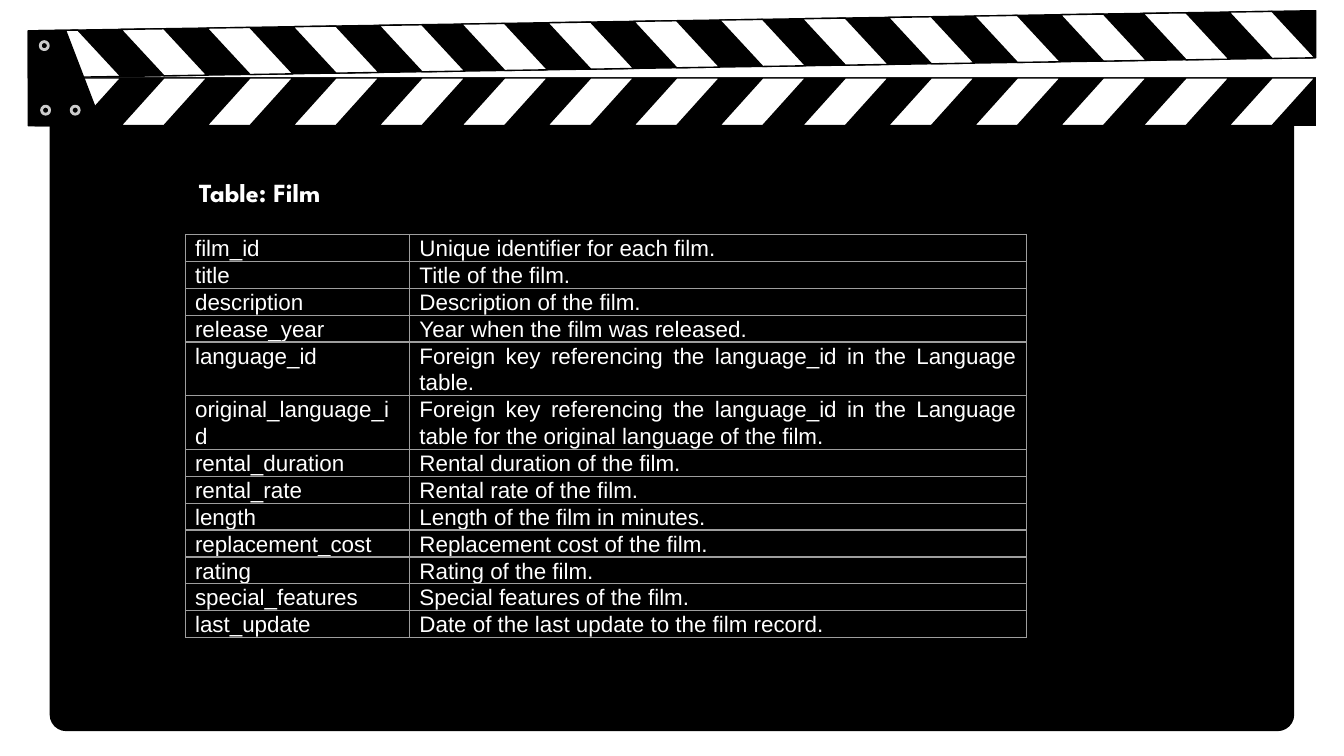
import pptx
import pptx.util
import pptx.dml.color
import pptx.enum.shapes
import pptx.enum.text
import pptx.oxml.ns
import lxml.etree

INK = {"slate": "000000", "chalk": "FFFFFF", "seam": "171717",
       "rivet": "CCCCCC", "rule": "9E9E9E"}
KIND = pptx.enum.shapes.MSO_SHAPE
ALIGN = pptx.enum.text.PP_ALIGN
MIDDLE = pptx.enum.text.MSO_ANCHOR.MIDDLE
UNIT = 0.1  # inches in one grid column or row

FILM = [
    ("film_id", "Unique identifier for each film."),
    ("title", "Title of the film."),
    ("description", "Description of the film."),
    ("release_year", "Year when the film was released."),
    ("language_id",
     "Foreign key referencing the language_id in the Language table."),
    ("original_language_id",
     "Foreign key referencing the language_id in the Language table "
     "for the original language of the film."),
    ("rental_duration", "Rental duration of the film."),
    ("rental_rate", "Rental rate of the film."),
    ("length", "Length of the film in minutes."),
    ("replacement_cost", "Replacement cost of the film."),
    ("rating", "Rating of the film."),
    ("special_features", "Special features of the film."),
    ("last_update", "Date of the last update to the film record."),
]


def grid(*sizes):
    """Turn grid columns or rows into slide lengths."""
    return [pptx.util.Emu(round(size * UNIT * 914400)) for size in sizes]


def color(name):
    """Look up a named colour."""
    return pptx.dml.color.RGBColor.from_string(INK[name])


def assign(item, values):
    """Set attributes from a dict of format values."""
    for name, value in values.items():
        setattr(item, name, value)


class Board:
    """Holds the text style and the current slide."""

    def __init__(self, slide):
        self.slide = slide
        self.shapes = slide.shapes
        self.cell = {"margin_left": grid(0.72)[0],
                     "margin_right": grid(0.72)[0],
                     "margin_top": 0, "margin_bottom": 0}
        self.para = {"alignment": ALIGN.JUSTIFY, "line_spacing": 1.07,
                     "space_after": pptx.util.Pt(8)}
        self.body = {"name": "Arial", "size": pptx.util.Pt(12)}
        self.head = {"name": "League Spartan", "size": pptx.util.Pt(14),
                     "bold": True}

    def paint(self, shape, fill, line="slate", width=0.75):
        """Fill a shape, and outline it if a line colour is given."""
        shape.shadow.inherit = False
        shape.fill.solid()
        shape.fill.fore_color.rgb = color(fill)
        if line is None:
            shape.line.fill.background()
            return
        shape.line.color.rgb = color(line)
        shape.line.width = pptx.util.Pt(width)

    def shape(self, kind, box, fill, adjust=None, **line):
        """Add a preset shape."""
        shape = self.shapes.add_shape(kind, *grid(*box))
        if adjust is not None:
            shape.adjustments[0] = adjust
        self.paint(shape, fill, **line)

    def plate(self, points, fill):
        """Add a closed outline through the points."""
        first, *rest = [grid(*point) for point in points]
        maker = self.shapes.build_freeform(*first, scale=1.0)
        maker.add_line_segments(rest, close=True)
        self.paint(maker.convert_to_shape(), fill)

    def seam(self, ends, ink, width):
        """Add a straight line."""
        line = self.shapes.add_connector(
            pptx.enum.shapes.MSO_CONNECTOR.STRAIGHT, *grid(*ends))
        line.line.color.rgb = color(ink)
        line.line.width = pptx.util.Pt(width)
        lxml.etree.SubElement(line.element.spPr,
                              pptx.oxml.ns.qn("a:effectLst"))

    def title(self, text, box):
        """Place and format the title above the other shapes."""
        title = self.shapes.title
        names = ("left", "top", "width", "height")
        assign(title, dict(zip(names, grid(*box))))
        frame = title.text_frame
        frame.text = text
        assign(frame, {"vertical_anchor": MIDDLE, "word_wrap": True,
                       "auto_size": pptx.enum.text.MSO_AUTO_SIZE.NONE})
        para = frame.paragraphs[0]
        para.alignment = ALIGN.LEFT
        assign(para.runs[0].font, self.head)
        para.runs[0].font.color.rgb = color("chalk")
        self.shapes.element.append(title.element)

    def border(self, cell):
        """Rule all four sides of a cell."""
        props = cell._tc.get_or_add_tcPr()
        for spot, side in enumerate(("a:lnL", "a:lnR", "a:lnT", "a:lnB")):
            line = lxml.etree.Element(pptx.oxml.ns.qn(side),
                                      w=str(pptx.util.Pt(0.75)))
            fill = lxml.etree.SubElement(line, pptx.oxml.ns.qn("a:solidFill"))
            lxml.etree.SubElement(fill, pptx.oxml.ns.qn("a:srgbClr"),
                                  val=INK["rule"])
            props.insert(spot, line)

    def table(self, rows, left, top, widths, height):
        """Add a ruled table without fills."""
        box = grid(left, top, sum(widths), height * len(rows))
        table = self.shapes.add_table(len(rows), len(widths), *box).table
        assign(table, {"first_row": False, "horz_banding": False})
        for column, width in zip(table.columns, grid(*widths)):
            column.width = width
        for row, texts in zip(table.rows, rows):
            for cell, text in zip(row.cells, texts):
                cell.text = text
                assign(cell, self.cell)
                cell.fill.background()
                self.border(cell)
                para = cell.text_frame.paragraphs[0]
                assign(para, self.para)
                assign(para.runs[0].font, self.body)
                para.runs[0].font.color.rgb = color("chalk")


LEFT, RIGHT = 2.1, 97.9
SEAM, FOOT = 5.8, 9.35
HALF = 3.2  # columns a stripe leans


def tilt(x):
    """Give the top edge of the raised arm at a column."""
    return 2.3 - 1.5 * (x - LEFT) / (RIGHT - LEFT)


def clapper(board):
    """Draw the slate and its two striped arms."""
    board.shape(KIND.ROUNDED_RECTANGLE, (3.7, 7.2, 92.6, 47.2), "slate",
                0.026, line=None)
    starts = [2.6 + 2 * HALF * i - 0.25 * int((i - 1) / 4) for i in range(15)]

    board.plate([(LEFT, SEAM), (LEFT, FOOT), (RIGHT, FOOT), (RIGHT, SEAM)],
                "slate")
    for x in starts:
        board.plate([(x + HALF, SEAM), (x, FOOT), (x + HALF, FOOT),
                     (x + 2 * HALF, SEAM)], "chalk")

    deep = 3.5
    board.plate([(RIGHT, tilt(RIGHT)), (LEFT, tilt(LEFT)),
                 (LEFT, tilt(LEFT) + deep), (RIGHT, tilt(RIGHT) + deep)],
                "slate")
    for x in starts:
        mid, end = x + HALF, x + 2 * HALF
        board.plate([(mid, tilt(mid)), (x, tilt(x)), (mid, tilt(mid) + deep),
                     (end, tilt(end) + deep)], "chalk")

    board.seam((LEFT, SEAM, RIGHT, SEAM), "seam", 0.48)
    board.plate([(LEFT, 2.3), (LEFT, FOOT), (7.6, FOOT), (4.9, 2.3)], "slate")
    for x, y in ((3, 3.1), (3.1, 7.9), (5.3, 7.9)):
        board.shape(KIND.OVAL, (x, y, 0.6, 0.6), "slate",
                    line="rivet", width=1.5)


def main():
    """Build and save the slide."""
    deck = pptx.Presentation()
    deck.slide_width, deck.slide_height = grid(100, 56.25)
    board = Board(deck.slides.add_slide(deck.slide_layouts[5]))
    clapper(board)
    board.table(FILM, 13.8, 17.45, (16.7, 45.9), 2)
    board.title("Table: Film", (13.8, 12.6, 18, 3.4))
    deck.save("out.pptx")


main()
